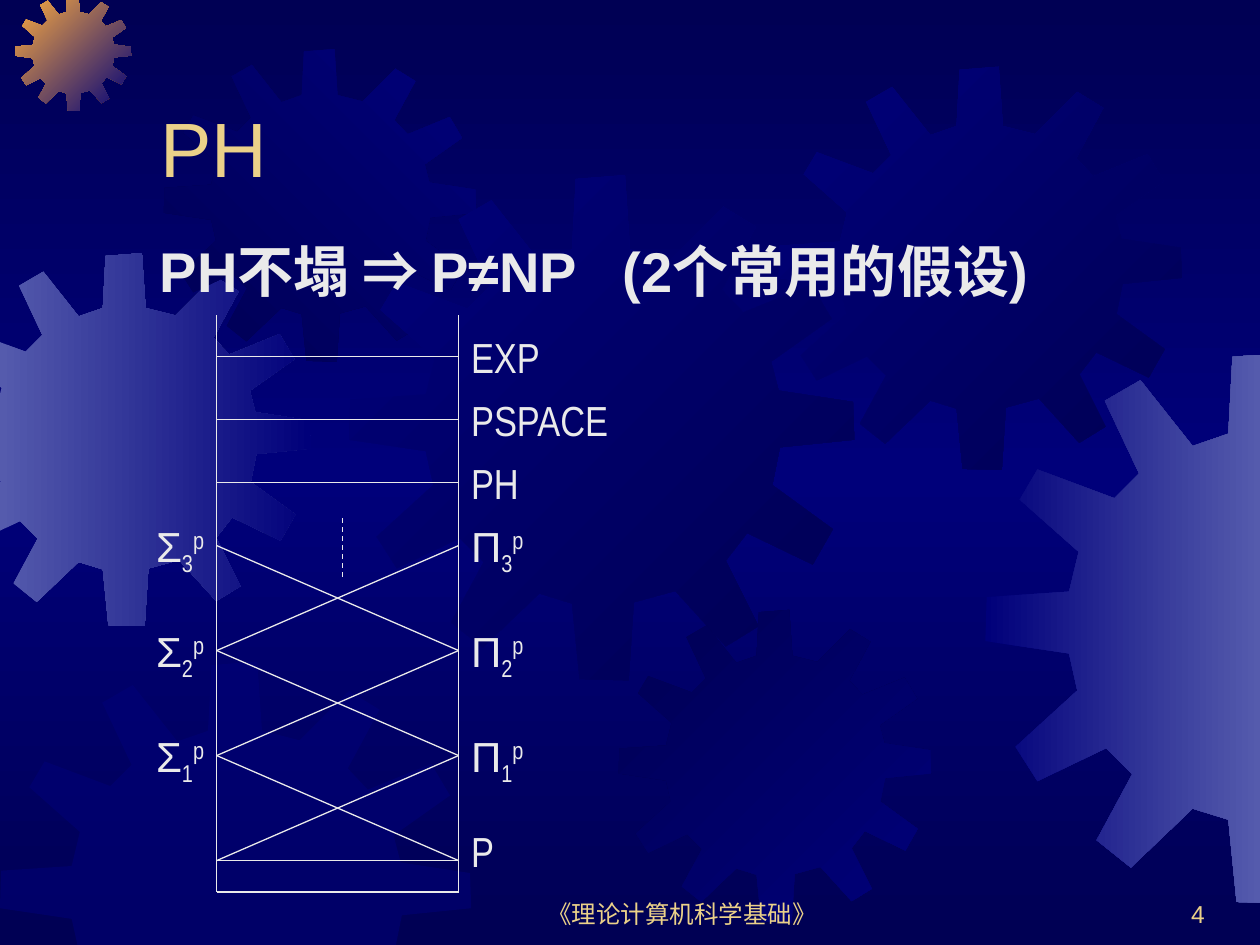
"""Build a slide on the polynomial hierarchy over a backdrop of gears."""
from copy import deepcopy
from dataclasses import dataclass

from lxml import etree
from pptx import Presentation
from pptx.dml.color import RGBColor
from pptx.enum.dml import MSO_LINE
from pptx.enum.shapes import MSO_CONNECTOR
from pptx.enum.text import MSO_ANCHOR, PP_ALIGN
from pptx.oxml.ns import qn
from pptx.util import Inches, Pt

STRAIGHT = MSO_CONNECTOR.STRAIGHT
DASH = MSO_LINE.DASH
BOTTOM, TOP = MSO_ANCHOR.BOTTOM, MSO_ANCHOR.TOP
LEFT, CENTER, RIGHT = PP_ALIGN.LEFT, PP_ALIGN.CENTER, PP_ALIGN.RIGHT

COLORS = {"dark": "000054", "navy": "00007A", "steel": "555BAD",
          "orange": "FCAB40", "gold": "EBD189", "light": "EAEAEA"}
WIDTH, HEIGHT = 10, 7.5
GEAR_SIZE = 4.01
GEAR_OUTLINE = [
    (2.55, 0.67), (2.23, 0.59), (2.19, 0), (1.8, 0.03), (1.77, 0.59), (1.51, 0.68),
    (1.13, 0.2), (0.87, 0.35), (1.12, 0.88), (0.94, 1.06), (0.38, 0.85), (0.25, 1.07),
    (0.68, 1.45), (0.61, 1.74), (0.01, 1.78), (0, 2.1), (0.61, 2.19), (0.67, 2.46),
    (0.22, 2.87), (0.38, 3.12), (0.88, 2.88), (1.07, 3.07), (0.81, 3.55), (1.06, 3.75),
    (1.51, 3.32), (1.77, 3.4), (1.83, 4), (2.22, 4.01), (2.26, 3.39), (2.59, 3.3),
    (2.99, 3.74), (3.25, 3.58), (2.99, 3.06), (3.16, 2.84), (3.68, 3.09), (3.84, 2.81),
    (3.36, 2.46), (3.42, 2.16), (4.01, 2.1), (4, 1.8), (3.41, 1.71), (3.35, 1.48),
    (3.83, 1.14), (3.67, 0.87), (3.13, 1.09), (2.96, 0.91), (3.23, 0.41), (2.97, 0.25),
]
WALL_LEFT, WALL_RIGHT = 1.72, 3.64
WALL_TOP, WALL_BOTTOM = 2.5, 7.08
P_LINE = 6.83
LEVEL_STEP = 2.5 / 3


@dataclass
class Gear:
    """A gear; one color means a half-transparent fill."""
    left: float
    top: float
    size: float
    colors: tuple[str, ...]
    angle: float = 0


@dataclass
class ClassLabel:
    """A complexity class named beside the right wall."""
    name: str
    top: float
    width: float


GEARS = [
    Gear(-0.49, 2.01, 2.96, ("steel", "navy")),
    Gear(0.12, -0.04, 0.92, ("orange", "navy"), 315),
    Gear(1.3, 0.39, 2.48, ("dark", "navy"), 45),
    Gear(2.77, 1.39, 4.01, ("navy", "dark"), 315),
    Gear(0, 5.25, 3.74, ("navy",)),
    Gear(4.91, 4.84, 2.48, ("dark", "navy"), 315),
    Gear(6.18, 0.53, 3.2, ("navy", "dark"), 315),
    Gear(7.82, 2.8, 4.37, ("navy", "steel")),
]
CLASS_LABELS = [
    ClassLabel("EXP", 2.58, 1), ClassLabel("PSPACE", 3.08, 1.42),
    ClassLabel("PH", 3.58, 0.6), ClassLabel("P", 6.5, 0.5),
]


def rgb(name: str) -> RGBColor:
    """Return a named color."""
    return RGBColor.from_string(COLORS[name])


def set_gradient(fill, colors: tuple[str, ...], angle: float) -> None:
    """Fill with a two-color linear gradient."""
    fill.gradient()
    fill.gradient_angle = angle
    for position, (stop, color) in enumerate(zip(fill.gradient_stops, colors)):
        stop.color.rgb = rgb(color)
        stop.position = position


def set_background(slide) -> None:
    """Shade the background dark, navy and dark again from top to bottom."""
    set_gradient(slide.background.fill, ("dark", "navy"), 270)
    stop_list = slide._element.find(".//" + qn("a:gsLst"))
    stop_list.append(deepcopy(stop_list[0]))
    for stop, position in zip(stop_list, (0, 50000, 100000)):
        stop.set("pos", str(position))


def clip(points: list, axis: int, limit: float, sign: int) -> list:
    """Keep the part of a polygon on one side of an axis-parallel line."""
    kept = []
    for start, end in zip(points[-1:] + points[:-1], points):
        start_gap = sign * (start[axis] - limit)
        end_gap = sign * (end[axis] - limit)
        if start_gap * end_gap < 0:
            share = start_gap / (start_gap - end_gap)
            kept.append(tuple(a + share * (b - a) for a, b in zip(start, end)))
        if end_gap >= 0:
            kept.append(end)
    return kept


def add_gear(slide, gear: Gear) -> None:
    """Draw a gear, cut off at the slide edges."""
    scale = gear.size / GEAR_SIZE
    points = [(gear.left + x * scale, gear.top + y * scale) for x, y in GEAR_OUTLINE]
    for axis, limit in enumerate((WIDTH, HEIGHT)):
        points = clip(clip(points, axis, 0, 1), axis, limit, -1)
    corners = [(Inches(x), Inches(y)) for x, y in points]
    builder = slide.shapes.build_freeform(*corners[0])
    builder.add_line_segments(corners[1:], close=True)
    shape = builder.convert_to_shape()
    shape.shadow.inherit = False
    shape.line.fill.background()
    if len(gear.colors) == 2:
        set_gradient(shape.fill, gear.colors, gear.angle)
    else:
        shape.fill.solid()
        shape.fill.fore_color.rgb = rgb(gear.colors[0])
        color = shape._element.spPr.find(".//" + qn("a:srgbClr"))
        etree.SubElement(color, qn("a:alpha"), val="50000")


def add_line(slide, x1: float, y1: float, x2: float, y2: float, dashed: bool = False) -> None:
    """Draw a thin light line."""
    line = slide.shapes.add_connector(STRAIGHT, Inches(x1), Inches(y1), Inches(x2), Inches(y2))
    line.line.color.rgb = rgb("light")
    line.line.width = Pt(0.75)
    if dashed:
        line.line.dash_style = DASH
    etree.SubElement(line._element.spPr, qn("a:effectLst"))


def format_text(shape, text: str, size: float, color: str, font: str = "Arial",
                align=LEFT, anchor=TOP, bold: bool = False):
    """Write one paragraph into a shape and return it."""
    frame = shape.text_frame
    frame.word_wrap = True
    frame.vertical_anchor = anchor
    paragraph = frame.paragraphs[0]
    paragraph.text = text
    paragraph.alignment = align
    paragraph.font.name = font
    paragraph.font.size = Pt(size)
    paragraph.font.bold = bold
    paragraph.font.color.rgb = rgb(color)
    return paragraph


def add_box(slide, left: float, top: float, width: float, height: float):
    """Add an empty text box."""
    return slide.shapes.add_textbox(Inches(left), Inches(top), Inches(width), Inches(height))


def add_level_label(slide, symbol: str, level: int, left: float, width: float) -> None:
    """Label one level with its subscript number and superscript p."""
    box = add_box(slide, left, P_LINE - 0.25 - level * LEVEL_STEP, width, 0.56)
    paragraph = format_text(box, symbol, 24, "light")
    for text, baseline in ((str(level), -25000), ("p", 30000)):
        run = paragraph.add_run()
        run.text = text
        run.font.name = "Arial Narrow"
        run._r.get_or_add_rPr().set("baseline", str(baseline))


def add_hierarchy(slide) -> None:
    """Draw the diagram of nested complexity classes."""
    for wall in (WALL_LEFT, WALL_RIGHT):
        add_line(slide, wall, WALL_TOP, wall, WALL_BOTTOM)
    for y in (2.83, 3.33, 3.83, P_LINE, WALL_BOTTOM):
        add_line(slide, WALL_LEFT, y, WALL_RIGHT, y)
    for level in (1, 2, 3):
        upper = P_LINE - level * LEVEL_STEP
        add_line(slide, WALL_LEFT, upper + LEVEL_STEP, WALL_RIGHT, upper)
        add_line(slide, WALL_RIGHT, upper + LEVEL_STEP, WALL_LEFT, upper)
        add_level_label(slide, "Σ", level, 1.14, 0.67)
        add_level_label(slide, "Π", level, WALL_RIGHT, 0.83)
    add_line(slide, 2.72, 4.58, 2.72, 4.08, dashed=True)
    for label in CLASS_LABELS:
        box = add_box(slide, WALL_RIGHT, label.top, label.width, 0.5)
        format_text(box, label.name, 24, "light", "Arial Narrow")


def main() -> None:
    """Build and save the presentation."""
    presentation = Presentation()
    presentation.slide_width, presentation.slide_height = Inches(WIDTH), Inches(HEIGHT)
    slide = presentation.slides.add_slide(presentation.slide_layouts[5])
    set_background(slide)
    for gear in GEARS:
        add_gear(slide, gear)

    title = slide.shapes.title
    title.left, title.top = Inches(1.17), Inches(0.33)
    title.width, title.height = Inches(8.5), Inches(1.25)
    slide.shapes._spTree.append(title._element)
    format_text(title, "PH", 44, "gold", anchor=BOTTOM)
    format_text(add_box(slide, 1.17, 1.83, 8.5, 0.83),
                "PH不塌 ⇒ P≠NP   (2个常用的假设)", 32, "light", bold=True)
    add_hierarchy(slide)
    format_text(add_box(slide, 3.83, 6.92, 3.17, 0.5), "《理论计算机科学基础》", 14, "gold",
                align=CENTER, anchor=BOTTOM)
    format_text(add_box(slide, 7.58, 6.92, 2.08, 0.5), "4", 14, "gold",
                align=RIGHT, anchor=BOTTOM)
    presentation.save("out.pptx")


if __name__ == "__main__":
    main()
